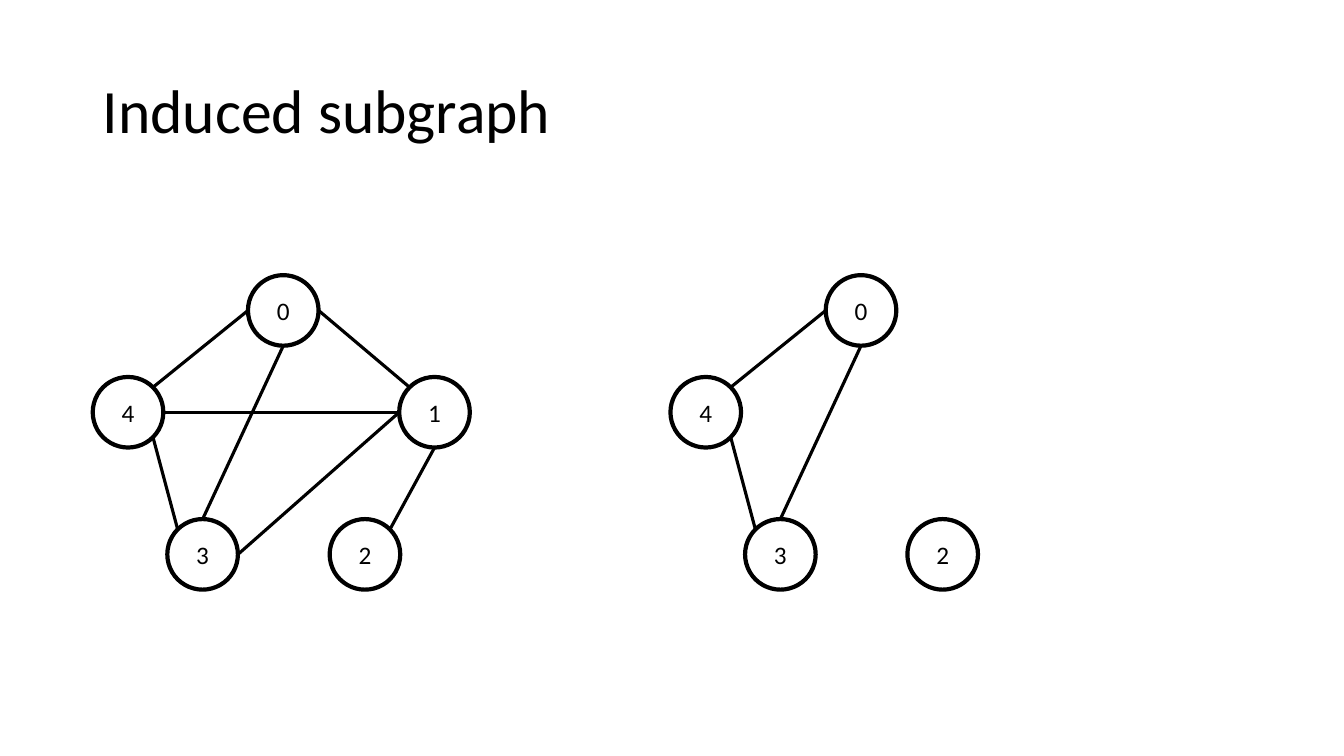
"""Build a slide that shows a graph beside its induced subgraph."""
from dataclasses import dataclass
from enum import IntEnum
from math import cos, pi, sin

from lxml.etree import SubElement
from pptx import Presentation
from pptx.dml.color import RGBColor
from pptx.enum.shapes import MSO_CONNECTOR as Connector, MSO_SHAPE as Shape
from pptx.enum.text import MSO_ANCHOR as Anchor, PP_ALIGN as Align
from pptx.oxml.ns import qn
from pptx.util import Inches, Pt

FONT = "Calibri"
BLACK = "000000"
NODE_SIZE = 0.7


class Site(IntEnum):
    """Connection sites of an ellipse, counted anticlockwise from the top."""
    TOP = 0
    TOP_LEFT = 1
    LEFT = 2
    BOTTOM_LEFT = 3
    BOTTOM = 4
    BOTTOM_RIGHT = 5
    RIGHT = 6
    TOP_RIGHT = 7


@dataclass(frozen=True)
class Node:
    """A labelled circle, placed by its top left corner."""
    label: str
    left: float
    top: float


@dataclass(frozen=True)
class Edge:
    """A line between sites of two nodes."""
    start: str
    start_site: Site
    end: str
    end_site: Site


@dataclass(frozen=True)
class Graph:
    """A set of nodes and edges, shifted to the right."""
    shift: float
    nodes: list[Node]
    edges: list[Edge]


NODES = [
    Node("4", 0.92, 3.74),
    Node("1", 3.96, 3.74),
    Node("3", 1.66, 5.15),
    Node("2", 3.27, 5.15),
    Node("0", 2.46, 2.73),
]
EDGES = [
    Edge("0", Site.LEFT, "4", Site.TOP_RIGHT),
    Edge("0", Site.BOTTOM, "3", Site.TOP),
    Edge("4", Site.BOTTOM_RIGHT, "3", Site.TOP_LEFT),
    Edge("4", Site.RIGHT, "1", Site.LEFT),
    Edge("1", Site.BOTTOM, "2", Site.TOP_RIGHT),
    Edge("0", Site.RIGHT, "1", Site.TOP_LEFT),
    Edge("3", Site.RIGHT, "1", Site.LEFT),
]
REMOVED = "1"
GRAPHS = [
    Graph(0, NODES, EDGES),
    Graph(
        5.73,
        [node for node in NODES if node.label != REMOVED],
        [edge for edge in EDGES if REMOVED not in (edge.start, edge.end)],
    ),
]


def color(value: str) -> RGBColor:
    """Turn a hex string into a colour."""
    return RGBColor.from_string(value)


def add_span(para, text: str, size: float) -> None:
    """Add a run of black text to a paragraph."""
    span = para.add_run()
    span.text = text
    span.font.name = FONT
    span.font.size = Pt(size)
    span.font.color.rgb = color(BLACK)


def add_title(page, text: str) -> None:
    """Add the slide title."""
    box = page.shapes.add_textbox(Inches(0.92), Inches(0.4), Inches(11.5), Inches(1.45))
    box.text_frame.word_wrap = True
    box.text_frame.vertical_anchor = Anchor.MIDDLE
    para = box.text_frame.paragraphs[0]
    para.line_spacing = 0.9
    add_span(para, text, 44)


def add_node(page, node: Node, shift: float):
    """Draw one node and return its circle."""
    circle = page.shapes.add_shape(
        Shape.OVAL, Inches(node.left + shift), Inches(node.top),
        Inches(NODE_SIZE), Inches(NODE_SIZE),
    )
    circle.shadow.inherit = False
    circle.fill.background()
    circle.line.color.rgb = color(BLACK)
    circle.line.width = Pt(3)
    circle.text_frame.vertical_anchor = Anchor.MIDDLE
    para = circle.text_frame.paragraphs[0]
    para.alignment = Align.CENTER
    add_span(para, node.label, 18)
    return circle


def site_point(circle, site: Site) -> tuple[int, int]:
    """Find the position of a connection site on a circle."""
    angle = site * pi / 4
    radius = circle.width / 2
    return (
        round(circle.left + radius * (1 - sin(angle))),
        round(circle.top + radius * (1 - cos(angle))),
    )


def add_edge(page, edge: Edge, circles: dict) -> None:
    """Draw one edge and attach it to its two circles."""
    start, end = circles[edge.start], circles[edge.end]
    line = page.shapes.add_connector(
        Connector.STRAIGHT,
        *site_point(start, edge.start_site),
        *site_point(end, edge.end_site),
    )
    line.line.color.rgb = color(BLACK)
    line.line.width = Pt(2.25)
    SubElement(line._element.spPr, qn("a:effectLst"))
    links = line._element.find(".//" + qn("p:cNvCxnSpPr"))
    for tag, circle, site in (
        ("a:stCxn", start, edge.start_site),
        ("a:endCxn", end, edge.end_site),
    ):
        SubElement(links, qn(tag), id=str(circle.shape_id), idx=str(site.value))


def add_graph(page, graph: Graph) -> None:
    """Draw the nodes of a graph, then its edges."""
    circles = {node.label: add_node(page, node, graph.shift) for node in graph.nodes}
    for edge in graph.edges:
        add_edge(page, edge, circles)


def main() -> None:
    """Create the deck and save it."""
    deck = Presentation()
    deck.slide_width = Inches(13.33)
    deck.slide_height = Inches(7.5)
    page = deck.slides.add_slide(deck.slide_layouts[6])
    add_title(page, "Induced subgraph")
    for graph in GRAPHS:
        add_graph(page, graph)
    deck.save("out.pptx")


if __name__ == "__main__":
    main()
